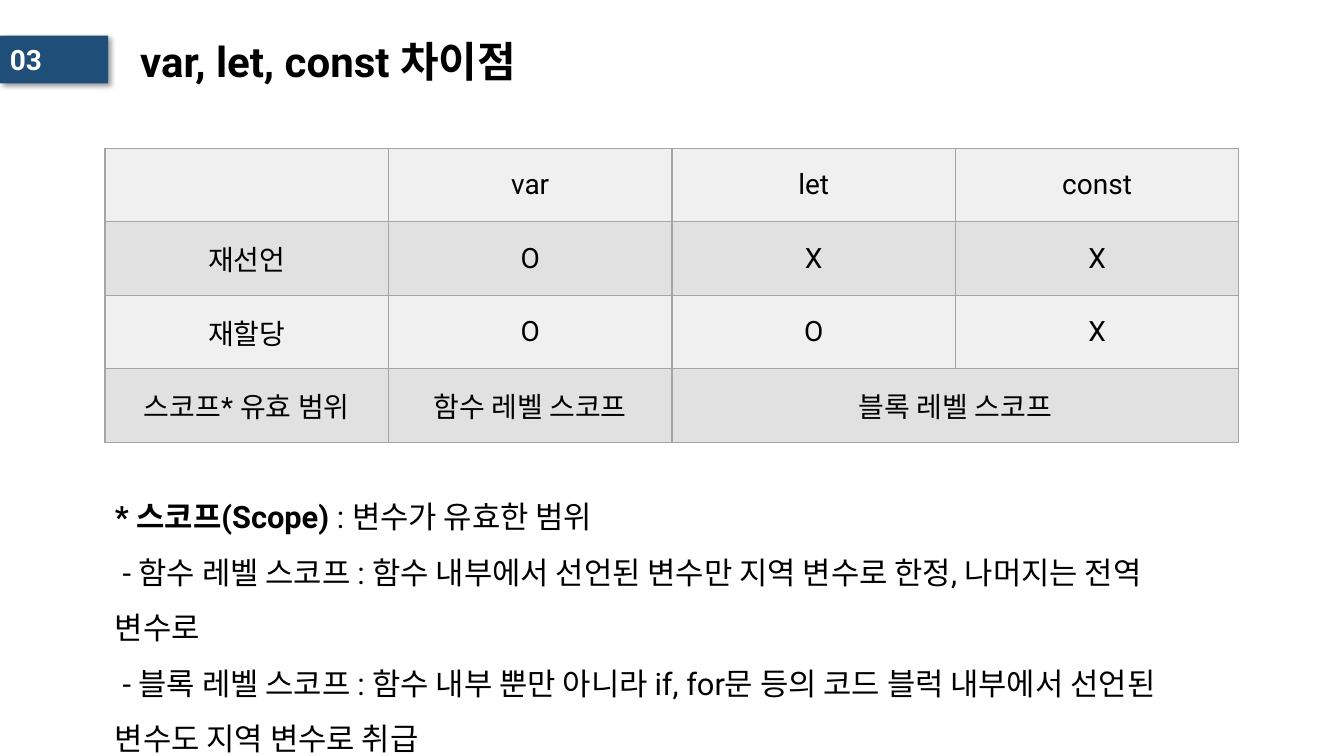
"""Build the slide comparing var, let and const."""
import dataclasses
import typing

import lxml.etree
import pptx
import pptx.dml.color
import pptx.enum.shapes
import pptx.enum.text
import pptx.oxml.ns
import pptx.slide
import pptx.table
import pptx.text.text
import pptx.util

Pt = pptx.util.Pt
qn = pptx.oxml.ns.qn


@dataclasses.dataclass(frozen=True)
class Theme:
    """Colours, font and type sizes of the slide."""

    font: str = "Roboto"
    ink: str = "000000"
    paper: str = "FFFFFF"
    badge: str = "1F4E79"
    border: str = "A5A5A5"
    bands: tuple[str, str] = ("F0F0F0", "E1E1E1")
    title_size: float = 30
    cell_size: float = 20
    note_size: float = 22


@dataclasses.dataclass(frozen=True)
class Box:
    """A rectangle in points."""

    left: float
    top: float
    width: float
    height: float

    def lengths(self) -> tuple[pptx.util.Length, ...]:
        """Return the four measures as lengths."""
        return tuple(Pt(value) for value in dataclasses.astuple(self))


@dataclasses.dataclass(frozen=True)
class Note:
    """A paragraph with an optional bold lead."""

    text: str
    lead: str = ""


THEME = Theme()
TITLE_BOX = Box(92.9, 20.9, 365, 49.7)
BADGE_BOX = Box(0, 25.4, 77.2, 34.3)
TABLE_BOX = Box(75, 106, 810, 210)
NOTES_BOX = Box(75, 339.1, 810, 164.2)
ROWS = (
    ("", "var", "let", "const"),
    ("재선언", "O", "X", "X"),
    ("재할당", "O", "O", "X"),
    ("스코프* 유효 범위", "함수 레벨 스코프", "블록 레벨 스코프", ""),
)
NOTES = (
    Note(": 변수가 유효한 범위", "* 스코프(Scope) "),
    Note(" - 함수 레벨 스코프 : 함수 내부에서 선언된 변수만 지역 변수로 한정, 나머지는 전역 변수로"),
    Note(" - 블록 레벨 스코프 : 함수 내부 뿐만 아니라 if, for문 등의 코드 블럭 내부에서 선언된 "
         "변수도 지역 변수로 취급"),
)


def colour(value: str) -> pptx.dml.color.RGBColor:
    """Return a colour from its hexadecimal form."""
    return pptx.dml.color.RGBColor.from_string(value)


def style_font(font: pptx.text.text.Font, size: float, ink: str, bold: bool = False) -> None:
    """Apply the theme font with a size and colour."""
    font.name = THEME.font
    font.size = Pt(size)
    font.bold = bold
    font.color.rgb = colour(ink)


def add_title(slide: pptx.slide.Slide) -> None:
    """Place and format the title."""
    title = slide.shapes.title
    title.left, title.top, title.width, title.height = TITLE_BOX.lengths()
    frame = title.text_frame
    frame.text = "var, let, const 차이점"
    frame.auto_size = pptx.enum.text.MSO_AUTO_SIZE.NONE
    frame.vertical_anchor = pptx.enum.text.MSO_ANCHOR.MIDDLE
    paragraph = frame.paragraphs[0]
    paragraph.alignment = pptx.enum.text.PP_ALIGN.LEFT
    paragraph.line_spacing = 0.9
    style_font(paragraph.font, THEME.title_size, THEME.ink, True)


def add_badge(slide: pptx.slide.Slide) -> None:
    """Draw the section number with its soft shadow."""
    badge = slide.shapes.add_shape(pptx.enum.shapes.MSO_SHAPE.RECTANGLE, *BADGE_BOX.lengths())
    badge.fill.solid()
    badge.fill.fore_color.rgb = colour(THEME.badge)
    badge.line.fill.background()
    badge.shadow.inherit = False
    effects = badge.element.spPr.find(qn("a:effectLst"))
    shadow = lxml.etree.SubElement(
        effects, qn("a:outerShdw"), blurRad=str(Pt(4)), dist=str(Pt(3)),
        dir="2700000", algn="tl", rotWithShape="0")
    shade = lxml.etree.SubElement(shadow, qn("a:srgbClr"), val=THEME.ink)
    lxml.etree.SubElement(shade, qn("a:alpha"), val="40000")
    frame = badge.text_frame
    frame.text = "03"
    frame.vertical_anchor = pptx.enum.text.MSO_ANCHOR.MIDDLE
    paragraph = frame.paragraphs[0]
    paragraph.alignment = pptx.enum.text.PP_ALIGN.LEFT
    style_font(paragraph.font, THEME.cell_size, THEME.paper, True)


def format_cell(cell: pptx.table._Cell, text: str, band: str) -> None:
    """Write, border and fill one table cell."""
    properties = cell._tc.get_or_add_tcPr()
    for side in ("a:lnL", "a:lnR", "a:lnT", "a:lnB"):
        line = lxml.etree.SubElement(properties, qn(side), w=str(Pt(1)))
        fill = lxml.etree.SubElement(line, qn("a:solidFill"))
        lxml.etree.SubElement(fill, qn("a:srgbClr"), val=THEME.border)
    cell.fill.solid()
    cell.fill.fore_color.rgb = colour(band)
    cell.vertical_anchor = pptx.enum.text.MSO_ANCHOR.MIDDLE
    cell.text = text
    paragraph = cell.text_frame.paragraphs[0]
    paragraph.alignment = pptx.enum.text.PP_ALIGN.CENTER
    style_font(paragraph.font, THEME.cell_size, THEME.ink)


def add_comparison(slide: pptx.slide.Slide, rows: typing.Sequence[typing.Sequence[str]]) -> None:
    """Draw the comparison table."""
    table = slide.shapes.add_table(len(rows), len(rows[0]), *TABLE_BOX.lengths()).table
    table.first_row = False
    table.horz_banding = False
    for row_index, row in enumerate(rows):
        for column_index, text in enumerate(row):
            band = THEME.bands[row_index % len(THEME.bands)]
            format_cell(table.cell(row_index, column_index), text, band)
    table.cell(3, 2).merge(table.cell(3, 3))


def add_notes(slide: pptx.slide.Slide, notes: typing.Sequence[Note]) -> None:
    """Write the explanation below the table."""
    frame = slide.shapes.add_textbox(*NOTES_BOX.lengths()).text_frame
    frame.word_wrap = True
    frame.auto_size = pptx.enum.text.MSO_AUTO_SIZE.SHAPE_TO_FIT_TEXT
    for index, note in enumerate(notes):
        paragraph = frame.add_paragraph() if index else frame.paragraphs[0]
        paragraph.line_spacing = 1.5
        style_font(paragraph.font, THEME.note_size, THEME.ink)
        if note.lead:
            lead = paragraph.add_run()
            lead.text = note.lead
            lead.font.bold = True
        paragraph.add_run().text = note.text


def main() -> None:
    """Build and save the presentation."""
    presentation = pptx.Presentation()
    presentation.slide_width, presentation.slide_height = Pt(960), Pt(540)
    slide = presentation.slides.add_slide(presentation.slide_layouts[5])
    add_title(slide)
    add_badge(slide)
    add_comparison(slide, ROWS)
    add_notes(slide, NOTES)
    presentation.save("out.pptx")


if __name__ == "__main__":
    main()
